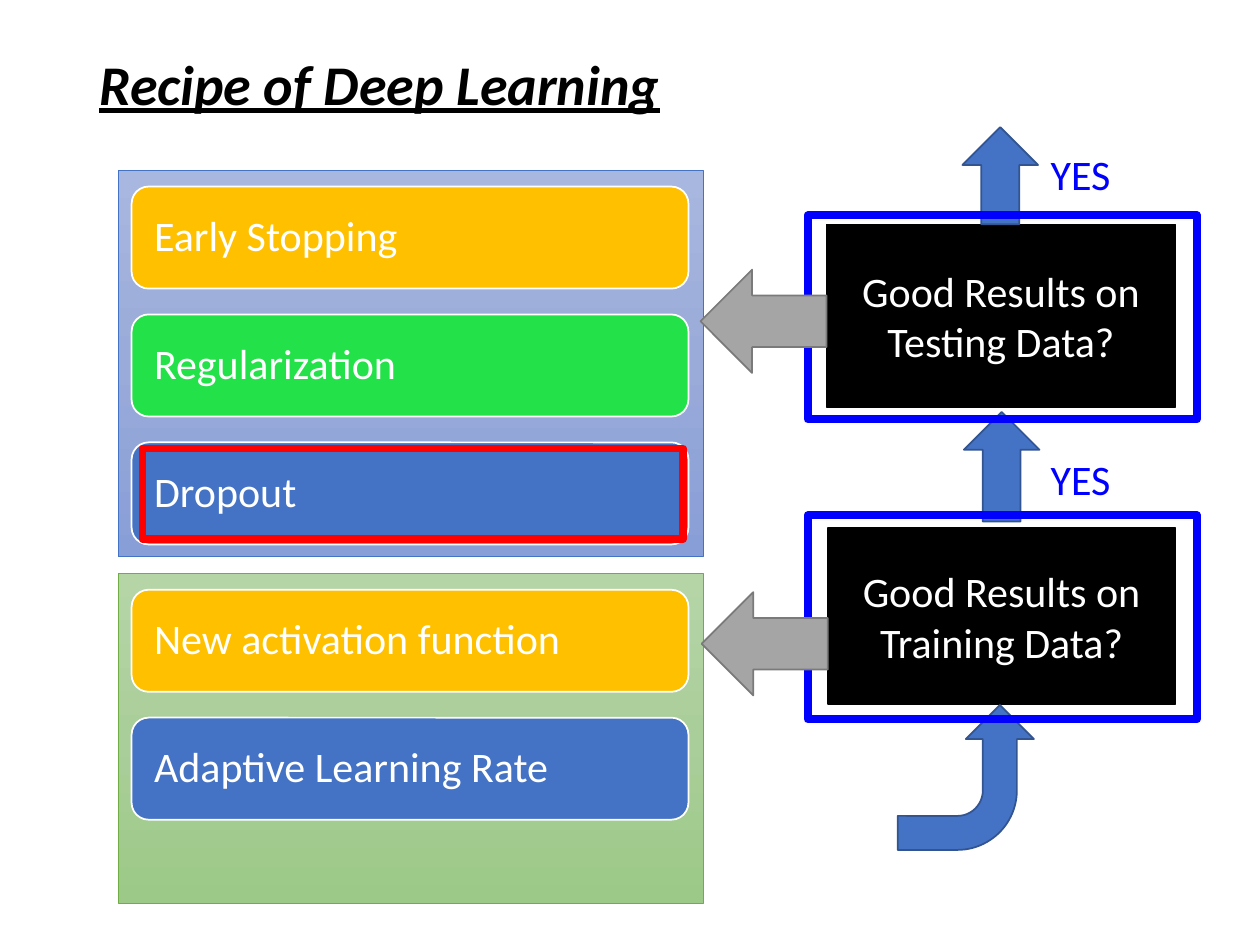
import copy
import pptx
import pptx.util
import pptx.dml.color
import pptx.enum.shapes
import pptx.enum.text
import pptx.oxml.ns

Pt = pptx.util.Pt
RGB = pptx.dml.color.RGBColor
KIND = pptx.enum.shapes.MSO_SHAPE
ALIGN = pptx.enum.text.PP_ALIGN
MIDDLE = pptx.enum.text.MSO_ANCHOR.MIDDLE
qn = pptx.oxml.ns.qn

BLACK = RGB(0, 0, 0)
WHITE = RGB(255, 255, 255)
RED = RGB(255, 0, 0)
PURE = RGB(0, 0, 255)
BLUE = RGB(0x44, 0x72, 0xC4)
NAVY = RGB(0x32, 0x54, 0x91)
GOLD = RGB(0xFF, 0xC0, 0x00)
LIME = RGB(0x23, 0xE1, 0x48)
GREEN = RGB(0x70, 0xAD, 0x47)
GRAY = RGB(0xA5, 0xA5, 0xA5)
DARK = RGB(0x7A, 0x7A, 0x7A)
SKY = [RGB(0xA8, 0xB7, 0xDF), RGB(0x9A, 0xAB, 0xD9), RGB(0x88, 0x9E, 0xD7)]
LEAF = [RGB(0xB5, 0xD5, 0xA7), RGB(0xAA, 0xCE, 0x9A), RGB(0x9C, 0xC9, 0x87)]

deck = pptx.Presentation()
deck.slide_width, deck.slide_height = Pt(720), Pt(540)
slide = deck.slides.add_slide(deck.slide_layouts[6])


def draw(kind, box, fill, line, width=1):
    """Add a shape; fill is a colour, a list of gradient colours or None."""
    shape = slide.shapes.add_shape(kind, *map(Pt, box))
    shape.shadow.inherit = False
    shape.line.color.rgb = line
    shape.line.width = Pt(width)
    if fill is None:
        shape.fill.background()
    elif isinstance(fill, list):
        shape.fill.gradient()
        shape.fill.gradient_angle = 270
        stops = shape._element.spPr.find(".//" + qn("a:gsLst"))
        stops.insert(1, copy.deepcopy(stops[0]))
        for stop, color, spot in zip(shape.fill.gradient_stops, fill, (0, 0.5, 1)):
            stop.color.rgb = color
            stop.position = spot
    else:
        shape.fill.solid()
        shape.fill.fore_color.rgb = fill
    return shape


def write(shape, text, color, size=24, align=ALIGN.LEFT):
    """Put one run into a shape or text box and return its parts."""
    frame = shape.text_frame
    frame.word_wrap = True
    para = frame.paragraphs[0]
    para.alignment = align
    run = para.add_run()
    run.text = text
    run.font.name = "Calibri"
    run.font.size = Pt(size)
    run.font.color.rgb = color
    return frame, para, run


# Title
box = slide.shapes.add_textbox(Pt(49.7), Pt(24.5), Pt(342.7), Pt(46))
frame, para, run = write(box, "Recipe of Deep Learning", BLACK, 32)
run.font.bold = run.font.italic = run.font.underline = True

# Question boxes
for text, box in [
    ("Good Results on Testing Data?", (472.3, 128.2, 199.4, 104.4)),
    ("Good Results on Training Data?", (473, 301.7, 198.7, 100.8)),
]:
    shape = draw(KIND.RECTANGLE, box, BLACK, BLACK)
    frame, para, run = write(shape, text, WHITE, align=ALIGN.CENTER)
    frame.vertical_anchor = MIDDLE

# Blue arrows going up
for box in [(550, 72.7, 43.2, 55.5), (550.8, 235.4, 43.2, 62.6)]:
    draw(KIND.UP_ARROW, box, BLUE, NAVY)
bend = draw(KIND.BENT_ARROW, (510.5, 405.4, 82.8, 77.8), BLUE, NAVY)
bend.rotation = 270
bend._element.spPr.find(qn("a:xfrm")).set("flipV", "1")

# Answers
for top in (81.4, 255.6):
    box = slide.shapes.add_textbox(Pt(593.3), Pt(top), Pt(60.5), Pt(36))
    write(box, "YES", PURE)

# Frames round the questions
for top in (123.1, 294.5):
    draw(KIND.RECTANGLE, (461.5, top, 222.5, 116.6), None, PURE, 4.5)

# Panels of methods, each with its cards and gray arrow
step = 73.1
for top, tall, fill, line, first, cards, arrow in [
    (327.6, 188.6, LEAF, GREEN, 337,
     [("New activation function", GOLD), ("Adaptive Learning Rate", BLUE)],
     (401, 338.4)),
    (97.2, 221, SKY, BLUE, 106.6,
     [("Early Stopping", GOLD), ("Regularization", LIME), ("Dropout", BLUE)],
     (400.3, 154.1)),
]:
    draw(KIND.RECTANGLE, (67.7, top, 334.1, tall), fill, line, 0.5)
    for i, (text, color) in enumerate(cards):
        box = (75.2, first + i * step, 318.2, 58.3)
        card = draw(KIND.ROUNDED_RECTANGLE, box, color, WHITE)
        frame, para, run = write(card, text, WHITE)
        frame.vertical_anchor = MIDDLE
        frame.margin_left = Pt(10)
        para.line_spacing = 0.9
    draw(KIND.LEFT_ARROW, (*arrow, 72, 59), GRAY, DARK)

# Highlight on Dropout
draw(KIND.RECTANGLE, (81.4, 256.3, 308.9, 51.8), None, RED, 4.5)

deck.save("out.pptx")
